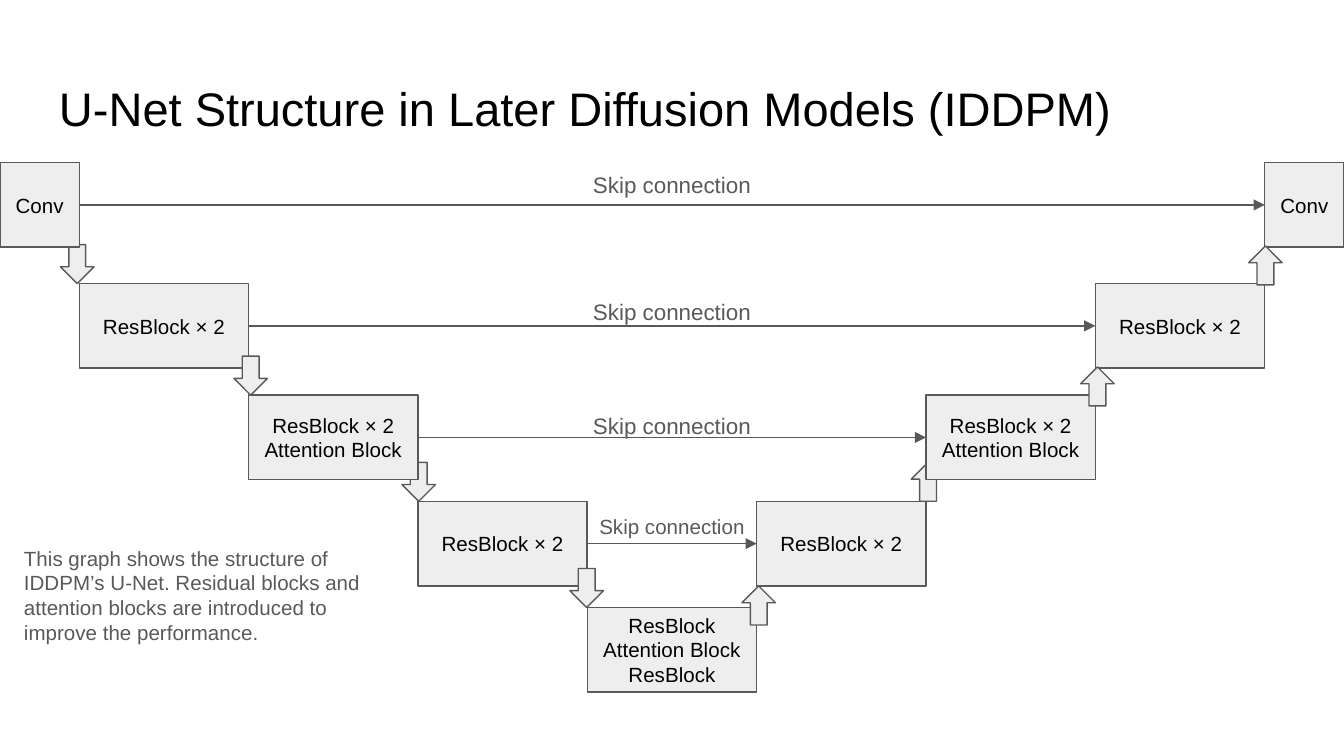
from lxml import etree
from pptx import Presentation
from pptx.dml.color import RGBColor
from pptx.enum import shapes, text
from pptx.oxml.ns import qn
from pptx.util import Inches, Pt

COLORS = {"ink": "000000", "gray": "595959", "fill": "EEEEEE"}
SLIDE_W = 10
SLIDE_H = SLIDE_W * 9 / 16
BLOCK_W, BLOCK_H, CONV_W = 1.26, 0.63, 0.59
ARROW_W, ARROW_H = 0.25, 0.29
LABEL_W, LABEL_H = 1.62, 0.29
RES, ATT = "ResBlock × 2", "Attention Block"
LEVELS = [(1.21, ["Conv"]), (2.11, [RES]), (2.94, [RES, ATT]), (3.73, [RES])]
BOTTOM = (4.52, ["ResBlock", ATT, "ResBlock"])
SKIP_LABELS = [(1.23, 12), (2.17, 12), (3.02, 12), (3.77, 11)]
BACK_ARROWS = [(0.45, 1.82, 0), (2.99, 3.44, 0), (6.78, 3.44, 180)]
FRONT_ARROWS = [(1.74, 2.65, 0), (4.24, 4.23, 0), (5.52, 4.36, 180),
                (8.04, 2.73, 180), (9.29, 1.83, 180)]


def color(name):
    """Return a named colour."""
    return RGBColor.from_string(COLORS[name])


def write(sp, lines, size, ink, align, anchor):
    """Write one paragraph per line into a shape."""
    tf = sp.text_frame
    tf.word_wrap = True
    tf.vertical_anchor = anchor
    tf.margin_left = tf.margin_right = tf.margin_top = tf.margin_bottom = Inches(0.1)
    tf.text = "\n".join(lines)
    for p in tf.paragraphs:
        p.alignment = align
        p.font.name = "Arial"
        p.font.size = Pt(size)
        p.font.color.rgb = color(ink)


def add_text(s, box, content, size, ink="gray", align=text.PP_ALIGN.LEFT,
             anchor=text.MSO_ANCHOR.TOP):
    """Add a text box."""
    sp = s.shapes.add_textbox(*map(Inches, box))
    write(sp, [content], size, ink, align, anchor)


def add_filled(s, kind, box):
    """Add a gray shape with a thin outline."""
    sp = s.shapes.add_shape(kind, *map(Inches, box))
    sp.shadow.inherit = False
    sp.fill.solid()
    sp.fill.fore_color.rgb = color("fill")
    sp.line.color.rgb = color("gray")
    sp.line.width = Pt(0.75)
    return sp


def add_block(s, left, top, width, lines):
    """Add a network block with centred text."""
    sp = add_filled(s, shapes.MSO_SHAPE.RECTANGLE, (left, top, width, BLOCK_H))
    write(sp, lines, 11, "ink", text.PP_ALIGN.CENTER, text.MSO_ANCHOR.MIDDLE)


def add_arrows(s, arrows):
    """Add block arrows that point down, or up when turned."""
    for left, top, rotation in arrows:
        sp = add_filled(s, shapes.MSO_SHAPE.DOWN_ARROW, (left, top, ARROW_W, ARROW_H))
        sp.rotation = rotation


def add_skip(s, x1, x2, y):
    """Add a horizontal line with an arrowhead at its end."""
    points = map(Inches, (x1, y, x2, y))
    sp = s.shapes.add_connector(shapes.MSO_CONNECTOR.STRAIGHT, *points)
    sp.line.color.rgb = color("gray")
    sp.line.width = Pt(0.75)
    etree.SubElement(sp.line._get_or_add_ln(), qn("a:tailEnd"), type="triangle")
    etree.SubElement(sp._element.spPr, qn("a:effectLst"))


def add_level(s, index, top, lines):
    """Add a mirrored pair of blocks and the skip line between them."""
    width = BLOCK_W if index else CONV_W
    left = CONV_W + (index - 1) * BLOCK_W if index else 0
    right = SLIDE_W - left - width
    add_block(s, left, top, width, lines)
    add_block(s, right, top, width, lines)
    add_skip(s, left + width, right, top + BLOCK_H / 2)


def main():
    """Build the U-Net slide."""
    prs = Presentation()
    prs.slide_width, prs.slide_height = Inches(SLIDE_W), Inches(SLIDE_H)
    s = prs.slides.add_slide(prs.slide_layouts[6])
    add_text(s, (0.34, 0.49, 9.32, 0.63),
             "U-Net Structure in Later Diffusion Models (IDDPM)", 25.2, "ink")
    add_arrows(s, BACK_ARROWS)
    for index, (top, lines) in enumerate(LEVELS):
        add_level(s, index, top, lines)
    top, lines = BOTTOM
    add_block(s, (SLIDE_W - BLOCK_W) / 2, top, BLOCK_W, lines)
    add_arrows(s, FRONT_ARROWS)
    for top, size in SKIP_LABELS:
        add_text(s, ((SLIDE_W - LABEL_W) / 2, top, LABEL_W, LABEL_H), "Skip connection",
                 size, align=text.PP_ALIGN.CENTER, anchor=text.MSO_ANCHOR.MIDDLE)
    add_text(s, (0.08, 3.96, 2.71, 1.51),
             "This graph shows the structure of IDDPM’s U-Net. Residual blocks and "
             "attention blocks are introduced to improve the performance.", 11)
    prs.save("out.pptx")


if __name__ == "__main__":
    main()
